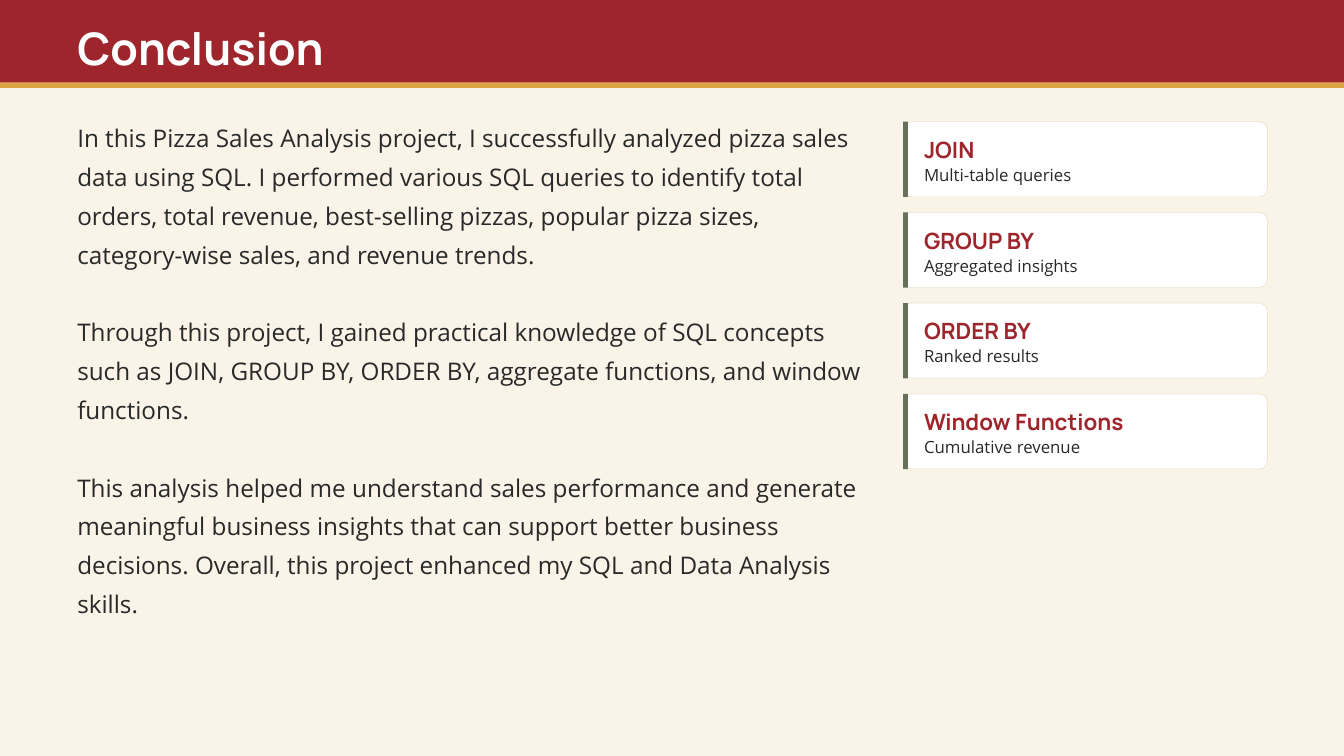
from dataclasses import dataclass

from pptx import Presentation
from pptx.dml.color import RGBColor
from pptx.enum.shapes import MSO_SHAPE as Kind
from pptx.enum.text import MSO_ANCHOR as Anchor, MSO_AUTO_SIZE as Fit, PP_ALIGN as Align
from pptx.oxml.xmlchemy import OxmlElement as Tag
from pptx.shapes.autoshape import Shape
from pptx.slide import Slide
from pptx.util import Inches, Pt

RED, GOLD, CREAM, WHITE = "9E252B", "D9A441", "FAF3E8", "FFFFFF"
INK, MOSS, EDGE = "292929", "66705B", "EDE4D4"


@dataclass(frozen=True)
class Box:
    x: float
    y: float
    w: float
    h: float


@dataclass(frozen=True)
class Style:
    face: str
    size: float
    lead: float
    tint: str
    bold: bool = False


@dataclass(frozen=True)
class Card:
    head: str
    note: str


HEAD = Style("Manrope", 48, 67.2, WHITE, True)
BODY = Style("Open Sans", 26, 41.6, INK)
TERM = Style("Manrope", 24, 33.6, RED, True)
NOTE = Style("Open Sans", 18, 25.2, INK)

PARAS = [
    "In this Pizza Sales Analysis project, I successfully analyzed pizza sales data "
    "using SQL. I performed various SQL queries to identify total orders, total revenue, "
    "best-selling pizzas, popular pizza sizes, category-wise sales, and revenue trends.",
    "Through this project, I gained practical knowledge of SQL concepts such as JOIN, "
    "GROUP BY, ORDER BY, aggregate functions, and window functions.",
    "This analysis helped me understand sales performance and generate meaningful "
    "business insights that can support better business decisions. Overall, this project "
    "enhanced my SQL and Data Analysis skills.",
]

CARDS = [
    Card("JOIN", "Multi-table queries"),
    Card("GROUP BY", "Aggregated insights"),
    Card("ORDER BY", "Ranked results"),
    Card("Window Functions", "Cumulative revenue"),
]


def color(code: str) -> RGBColor:
    return RGBColor.from_string(code)


def place(shape: Shape, box: Box) -> None:
    shape.left, shape.top = Inches(box.x), Inches(box.y)
    shape.width, shape.height = Inches(box.w), Inches(box.h)


def write(shape: Shape, lines: list[str], style: Style) -> None:
    frame = shape.text_frame
    frame.text = "\n".join(lines)
    frame.word_wrap = True
    frame.auto_size = Fit.NONE
    frame.vertical_anchor = Anchor.TOP
    frame.margin_left = frame.margin_right = 0
    frame.margin_top = frame.margin_bottom = 0
    for i, para in enumerate(frame.paragraphs):
        para.alignment = Align.LEFT
        para.line_spacing = Pt(style.lead)
        para.space_before = Pt(style.lead if i else 0)
        for run in para.runs:
            font = run.font
            font.name, font.size, font.bold = style.face, Pt(style.size), style.bold
            font.color.rgb = color(style.tint)


def plain(shape: Shape) -> None:
    for para in shape.text_frame.paragraphs:
        props = para._p.get_or_add_pPr()
        props.set("marL", "0")
        props.set("indent", "0")
        props.append(Tag("a:buNone"))


def label(slide: Slide, box: Box, text: str, style: Style) -> None:
    area = slide.shapes.add_textbox(0, 0, 0, 0)
    place(area, box)
    write(area, [text], style)


def block(slide: Slide, box: Box, fill: str, kind: Kind = Kind.RECTANGLE) -> Shape:
    shape = slide.shapes.add_shape(kind, 0, 0, 0, 0)
    place(shape, box)
    shape.shadow.inherit = False
    shape.fill.solid()
    shape.fill.fore_color.rgb = color(fill)
    shape.line.fill.background()
    return shape


def draw(slide: Slide, card: Card, x: float, y: float) -> None:
    high = 1.12
    panel = block(slide, Box(x, y, 5.42, high), WHITE, Kind.ROUNDED_RECTANGLE)
    panel.adjustments[0] = 0.11
    panel.line.color.rgb = color(EDGE)
    panel.line.width = Pt(0.75)
    block(slide, Box(x, y, 0.07, high), MOSS)
    label(slide, Box(x + 0.31, y + 0.15, 4.79, 0.46), card.head, TERM)
    label(slide, Box(x + 0.31, y + 0.59, 4.79, 0.33), card.note, NOTE)


def main() -> None:
    deck = Presentation()
    deck.slide_width, deck.slide_height = Inches(20), Inches(11.25)
    slide = deck.slides.add_slide(deck.slide_layouts[1])
    slide.background.fill.solid()
    slide.background.fill.fore_color.rgb = color(CREAM)

    block(slide, Box(0, 0, 20, 1.23), RED)
    block(slide, Box(0, 1.23, 20, 0.08), GOLD)

    title, body = slide.shapes.title, slide.placeholders[1]
    for shape in (title, body):
        shape.element.getparent().append(shape.element)
    place(title, Box(1.15, 0.18, 17.71, 0.95))
    write(title, ["Conclusion"], HEAD)
    place(body, Box(1.15, 1.69, 11.67, 7.42))
    write(body, PARAS, BODY)
    plain(body)

    for i, card in enumerate(CARDS):
        draw(slide, card, 13.44, 1.81 + 1.35 * i)

    deck.save("out.pptx")


if __name__ == "__main__":
    main()
